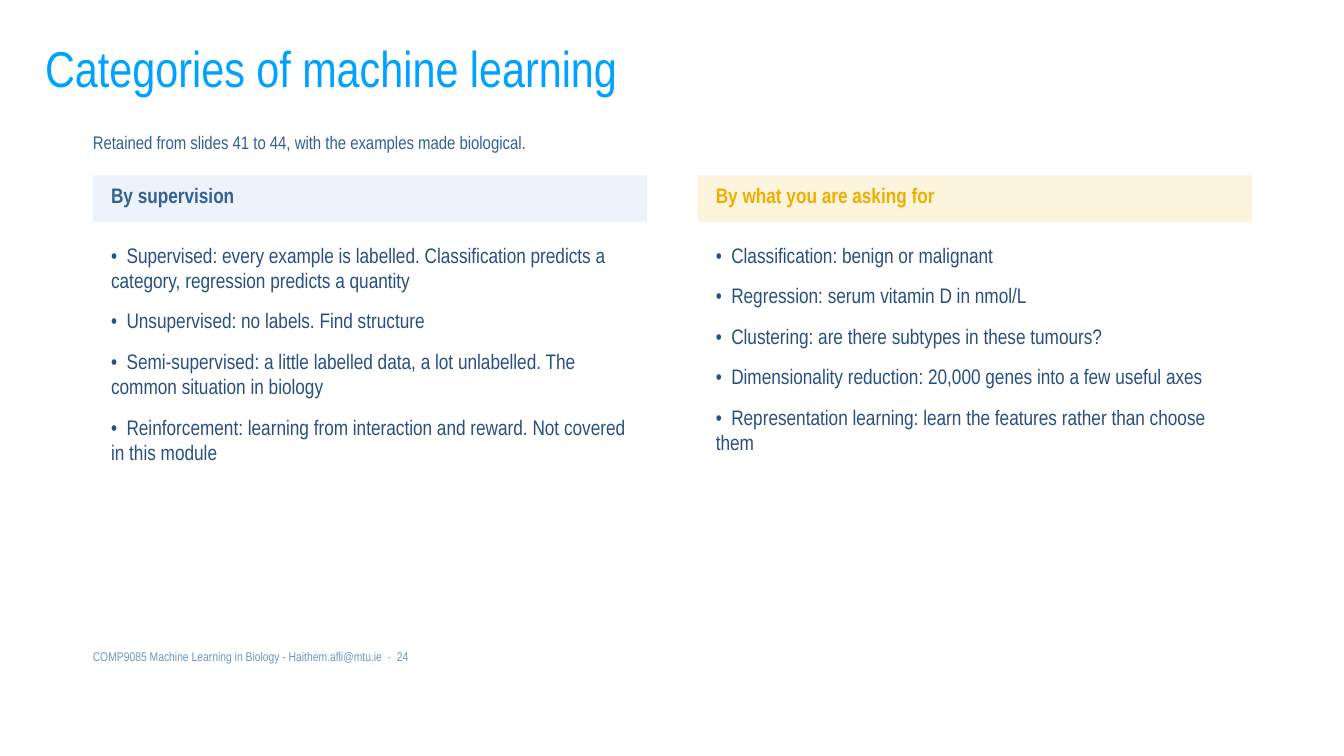
"""Build the slide on categories of machine learning."""
from dataclasses import dataclass

from lxml.etree import SubElement
from pptx import Presentation
from pptx.dml.color import RGBColor
from pptx.enum.shapes import MSO_SHAPE as Shape
from pptx.enum.text import MSO_ANCHOR as Anchor, MSO_AUTO_SIZE as Fit
from pptx.oxml.ns import qn
from pptx.slide import Slide
from pptx.util import Cm, Pt

SKY = RGBColor(0x00, 0xA2, 0xFF)
BLUE = RGBColor(0x32, 0x61, 0x94)
NAVY = RGBColor(0x28, 0x4F, 0x80)
STEEL = RGBColor(0x6C, 0x98, 0xC1)
GOLD = RGBColor(0xEE, 0xAF, 0x00)
ICE = RGBColor(0xEC, 0xF3, 0xFA)
CREAM = RGBColor(0xFD, 0xF4, 0xDE)

LEFT = 2.34
PITCH = 15.24
WIDTH = 13.97
PAD = 0.46
TAB = 0.39

FLUSH = dict.fromkeys(
    ("margin_left", "margin_top", "margin_right", "margin_bottom"), 0
) | {"word_wrap": True, "auto_size": Fit.SHAPE_TO_FIT_TEXT}
MIDDLE = {"word_wrap": True, "vertical_anchor": Anchor.MIDDLE}


@dataclass
class Label:
    """A text box with one style, placed in centimetres."""
    lines: list[str]
    box: tuple[float, float, float, float]
    size: int
    color: RGBColor
    bold: bool = False
    bullet: bool = False


@dataclass
class Column:
    """A headed list."""
    head: str
    color: RGBColor
    fill: RGBColor
    items: list[str]


COLUMNS = [
    Column("By supervision", BLUE, ICE, [
        "Supervised: every example is labelled. Classification predicts a "
        "category, regression predicts a quantity",
        "Unsupervised: no labels. Find structure",
        "Semi-supervised: a little labelled data, a lot unlabelled. "
        "The common situation in biology",
        "Reinforcement: learning from interaction and reward. "
        "Not covered in this module",
    ]),
    Column("By what you are asking for", GOLD, CREAM, [
        "Classification: benign or malignant",
        "Regression: serum vitamin D in nmol/L",
        "Clustering: are there subtypes in these tumours?",
        "Dimensionality reduction: 20,000 genes into a few useful axes",
        "Representation learning: learn the features rather than choose them",
    ]),
]
TITLE = Label(["Categories of machine learning"],
              (0.89, 0.41, 23.37, 2.79), 36, SKY)
NOTES = [
    Label(["Retained from slides 41 to 44, with the examples made biological."],
          (LEFT, 3.3, 29.21, 0.86), 13, BLUE),
    Label(["COMP9085 Machine Learning in Biology - Haithem.afli@mtu.ie  ·  24"],
          (LEFT, 16.36, 18.54, 0.66), 9, STEEL),
]


def apply(target: object, values: dict) -> None:
    """Set each named attribute on the target."""
    for name, value in values.items():
        setattr(target, name, value)


def write(slide: Slide, label: Label, frame: dict, spacing: dict) -> None:
    """Add a text box for the label."""
    text = slide.shapes.add_textbox(*map(Cm, label.box)).text_frame
    apply(text, frame)
    for index, line in enumerate(label.lines):
        para = text.paragraphs[0] if index == 0 else text.add_paragraph()
        apply(para, spacing)
        if label.bullet:
            tabs = SubElement(para._p.get_or_add_pPr(), qn("a:tabLst"))
            SubElement(tabs, qn("a:tab"), pos=str(Cm(TAB)), algn="l")
        run = para.add_run()
        run.text = f"•\t{line}" if label.bullet else line
        apply(run.font, {"name": "Arial Narrow", "size": Pt(label.size),
                         "bold": label.bold})
        run.font.color.rgb = label.color


def draw(slide: Slide, column: Column, left: float) -> None:
    """Draw a column's band, heading and list."""
    band = slide.shapes.add_shape(
        Shape.RECTANGLE, *map(Cm, (left, 4.42, WIDTH, 1.17)))
    band.shadow.inherit = False
    band.fill.solid()
    band.fill.fore_color.rgb = column.fill
    band.line.fill.background()
    inner, span = left + PAD, WIDTH - 2 * PAD
    write(slide, Label([column.head], (inner, 4.6, span, 0.86), 15,
                       column.color, bold=True), FLUSH, {})
    write(slide, Label(column.items, (inner, 6.1, span, 9.8), 15,
                       NAVY, bullet=True), FLUSH, {"space_after": Pt(11)})


def main() -> None:
    """Build and save the slide."""
    deck = Presentation()
    apply(deck, {"slide_width": Cm(33.87), "slide_height": Cm(19.05)})
    slide = deck.slides.add_slide(deck.slide_layouts[6])
    write(slide, TITLE, MIDDLE, {"line_spacing": 0.9})
    for note in NOTES:
        write(slide, note, FLUSH, {})
    for index, column in enumerate(COLUMNS):
        draw(slide, column, LEFT + index * PITCH)
    deck.save("out.pptx")


if __name__ == "__main__":
    main()
